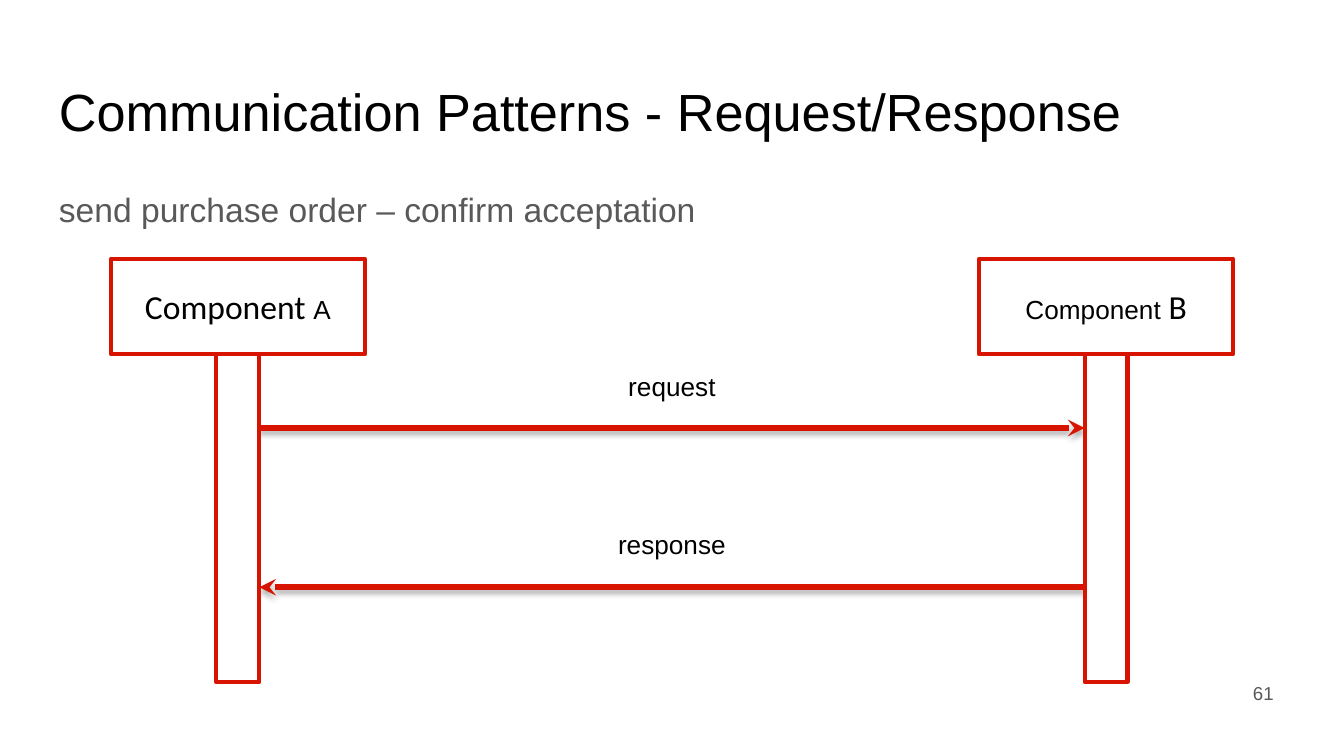
from dataclasses import dataclass
from lxml import etree
from pptx import Presentation, util as u
from pptx.dml.color import RGBColor as Rgb
from pptx.enum import shapes, text
from pptx.oxml import parse_xml
from pptx.oxml.ns import nsdecls, qn

PX = 4572  # EMU per px, 200 px to the inch


@dataclass(frozen=True)
class Theme:
    ink: str = "000000"
    grey: str = "595959"
    red: str = "D71400"
    white: str = "FFFFFF"
    sans: str = "Arial"
    alt: str = "Calibri"
    head: int = 28
    lead: int = 18
    label: int = 14
    num: int = 10
    edge: float = 2.25
    arrow: int = 3


T = Theme()
BIG, SMALL = (T.alt, T.lead), (T.sans, T.label)
LEFT, MID, RIGHT = text.PP_ALIGN.LEFT, text.PP_ALIGN.CENTER, text.PP_ALIGN.RIGHT

# Content
TITLE = "Communication Patterns - Request/Response"
LEAD = "send purchase order – confirm acceptation"
PAGE = "61"
PARTS = [  # centre x, runs with their font
    (354, [("Component ", BIG), ("A", SMALL)]),
    (1646, [("Component", SMALL), (" B", BIG)]),
]
CALLS = [  # label, label top, arrow y, sender, receiver
    ("request", 542, 637, 0, 1),
    ("response", 777, 874, 1, 0),
]

# Layout
BOX_Y, BOX_W, BOX_H = 385, 378, 142
BAR_Y, BAR_W, BAR_H = BOX_Y + BOX_H, 64, 488

prs = Presentation()
prs.slide_width, prs.slide_height = 2000 * PX, 1125 * PX
slide = prs.slides.add_slide(prs.slide_layouts[6])
items = slide.shapes


def place(*spot):
    return [v * PX for v in spot]


def style(font, name, size, color):
    font.name, font.size = name, u.Pt(size)
    font.color.rgb = Rgb.from_string(color)


def inset(frame, side):
    frame.word_wrap = True
    frame.margin_left = frame.margin_right = 20 * PX
    frame.margin_top = frame.margin_bottom = side * PX


def write(words, spot, size, color=T.ink, align=LEFT, pad=20):
    frame = items.add_textbox(*place(*spot)).text_frame
    inset(frame, pad)
    para = frame.paragraphs[0]
    para.text, para.alignment = words, align
    style(para.font, T.sans, size, color)
    return frame


def rect(*spot):
    box = items.add_shape(shapes.MSO_SHAPE.RECTANGLE, *place(*spot))
    box.shadow.inherit = False
    box.fill.solid()
    box.fill.fore_color.rgb = Rgb.from_string(T.white)
    box.line.color.rgb = Rgb.from_string(T.red)
    box.line.width = u.Pt(T.edge)
    return box


def arrow(start, end, y):
    line = items.add_connector(
        shapes.MSO_CONNECTOR.STRAIGHT, *place(start, y, end, y))
    line.line.color.rgb = Rgb.from_string(T.red)
    line.line.width = u.Pt(T.arrow)
    edge = line._element.spPr.find(qn("a:ln"))
    etree.SubElement(edge, qn("a:tailEnd"), type="stealth")
    line._element.spPr.append(parse_xml(
        f'<a:effectLst {nsdecls("a")}><a:outerShdw blurRad="{u.Pt(3.1)}"'
        f' dist="{u.Pt(1.8)}" dir="5400000" rotWithShape="0">'
        f'<a:srgbClr val="{T.ink}"><a:alpha val="35000"/></a:srgbClr>'
        '</a:outerShdw></a:effectLst>'))


# Heading and page number
write(TITLE, (68, 98, 1864, 126), T.head)
lead = write(LEAD, (68, 252, 1864, 104), T.lead, T.grey).paragraphs[0]
lead.line_spacing, lead.space_after = 1.15, u.Pt(16)
page = write(PAGE, (1795, 989, 120, 86), T.num, T.grey, RIGHT)
page.vertical_anchor = text.MSO_ANCHOR.MIDDLE

# Components
for x, runs in PARTS:
    frame = rect(x - BOX_W // 2, BOX_Y, BOX_W, BOX_H).text_frame
    inset(frame, 10)
    frame.vertical_anchor = text.MSO_ANCHOR.MIDDLE
    para = frame.paragraphs[0]
    para.alignment = MID
    for words, (name, size) in runs:
        run = para.add_run()
        run.text = words
        style(run.font, name, size, T.ink)

# Messages between the inner edges of the lifelines
inner = PARTS[0][0] + BAR_W // 2, PARTS[1][0] - BAR_W // 2
for words, top, y, sender, receiver in CALLS:
    arrow(inner[sender], inner[receiver], y)
    write(words, (inner[0], top, inner[1] - inner[0], 80), T.label,
          align=MID, pad=10)

# Lifelines
for x, _ in reversed(PARTS):
    rect(x - BAR_W // 2, BAR_Y, BAR_W, BAR_H)

prs.save("out.pptx")
